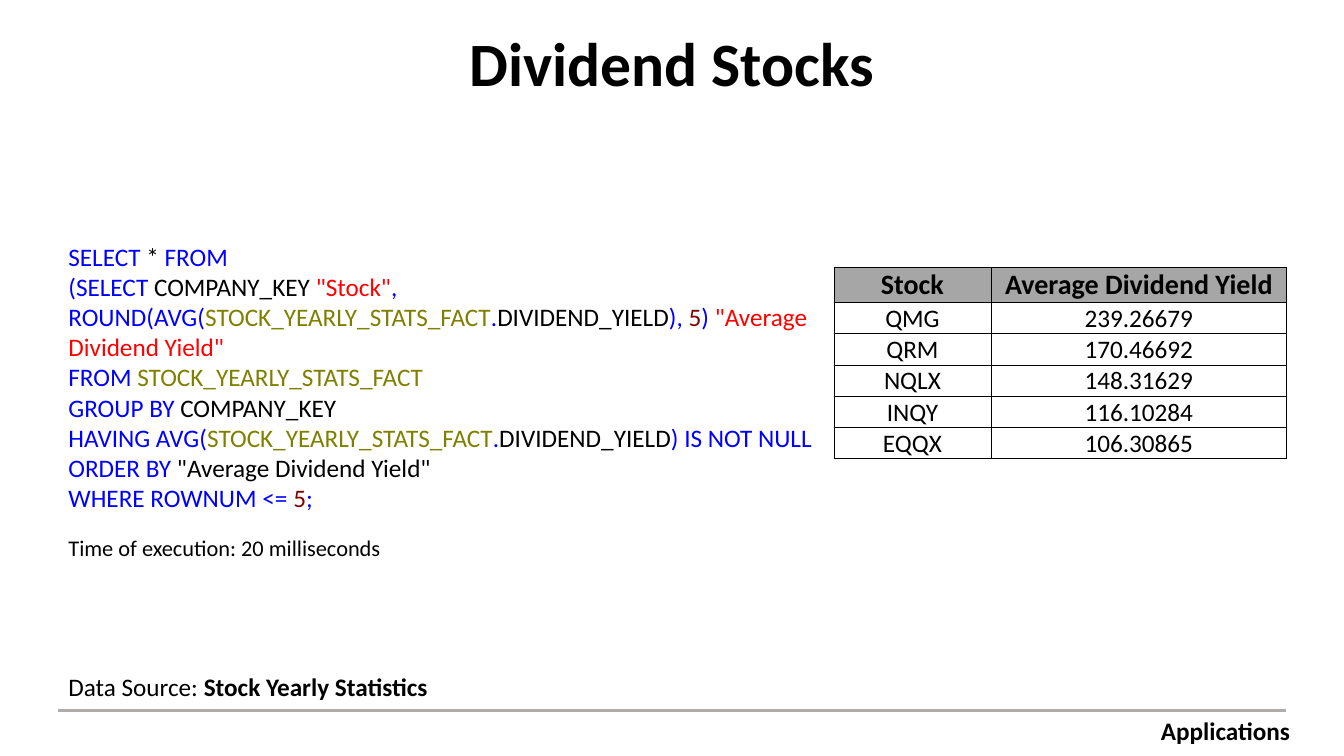
from dataclasses import dataclass

from lxml import etree
from pptx import Presentation
from pptx import util as u
from pptx.dml.color import RGBColor
from pptx.enum import shapes, text
from pptx.oxml import ns

BLACK = RGBColor(0x00, 0x00, 0x00)
BLUE = RGBColor(0x00, 0x00, 0xFF)
RED = RGBColor(0xFF, 0x00, 0x00)
OLIVE = RGBColor(0x80, 0x80, 0x00)
MAROON = RGBColor(0x80, 0x00, 0x00)
RULE_GRAY = RGBColor(0xAF, 0xAB, 0xAB)
HEADER_GRAY = RGBColor(0xA6, 0xA6, 0xA6)

FONT = "Calibri"
LEFT = 0.58
RULE_RIGHT = 12.75
RULE_TOP = 7.05


@dataclass
class Run:
    text: str
    color: RGBColor = BLACK
    bold: bool = False


@dataclass
class TextBlock:
    left: float
    top: float
    width: float
    height: float
    size: int
    lines: list[list[Run]]
    align: text.PP_ALIGN = text.PP_ALIGN.LEFT
    anchor: text.MSO_ANCHOR = text.MSO_ANCHOR.TOP
    spacing: float = 1.0


# Pieces of the query that occur more than once
FACT_TABLE = Run("STOCK_YEARLY_STATS_FACT", OLIVE)
YIELD_COLUMN = [FACT_TABLE, Run(".", BLUE), Run("DIVIDEND_YIELD")]
LIMIT = Run("5", MAROON)

QUERY = [
    [Run("SELECT", BLUE), Run(" * "), Run("FROM", BLUE)],
    [Run("(SELECT", BLUE), Run(" COMPANY_KEY "), Run('"Stock"', RED),
     Run(", ROUND(AVG(", BLUE), *YIELD_COLUMN, Run("), ", BLUE), LIMIT,
     Run(") ", BLUE), Run('"Average Dividend Yield"', RED)],
    [Run("FROM ", BLUE), FACT_TABLE],
    [Run("GROUP BY", BLUE), Run(" COMPANY_KEY")],
    [Run("HAVING AVG(", BLUE), *YIELD_COLUMN, Run(") IS NOT NULL", BLUE)],
    [Run("ORDER BY", BLUE), Run(' "Average Dividend Yield"')],
    [Run("WHERE ROWNUM <= ", BLUE), LIMIT, Run(";", BLUE)],
]

TEXT_BLOCKS = [
    TextBlock(LEFT, 0.22, 12.17, 0.88, 44, [[Run("Dividend Stocks", bold=True)]],
              text.PP_ALIGN.CENTER, text.MSO_ANCHOR.MIDDLE, 0.9),
    TextBlock(LEFT, 2.34, 7.58, 2.83, 18, QUERY),
    TextBlock(LEFT, 5.25, 3.52, 0.37, 16,
              [[Run("Time of execution: 20 milliseconds")]]),
    TextBlock(LEFT, 6.61, 11, 0.4, 18,
              [[Run("Data Source: "), Run("Stock Yearly Statistics", bold=True)]]),
    TextBlock(11.21, RULE_TOP, 1.89, 0.4, 18,
              [[Run("Applications", bold=True)]], text.PP_ALIGN.CENTER),
]

YIELDS = [
    ("Stock", "Average Dividend Yield"),
    ("QMG", "239.26679"),
    ("QRM", "170.46692"),
    ("NQLX", "148.31629"),
    ("INQY", "116.10284"),
    ("EQQX", "106.30865"),
]
COLUMN_WIDTHS = (1.56, 2.93)
HEADER_HEIGHT, ROW_HEIGHT = 0.35, 0.31
CELL_FORMAT = {
    "margin_left": u.Inches(0.01),
    "margin_right": u.Inches(0.01),
    "margin_top": u.Inches(0.01),
    "margin_bottom": 0,
    "vertical_anchor": text.MSO_ANCHOR.MIDDLE,
}


def set_attributes(target, values: dict) -> None:
    for name, value in values.items():
        setattr(target, name, value)


def add_run(paragraph, content: Run, size: int) -> None:
    run = paragraph.add_run()
    run.text = content.text
    set_attributes(run.font, {"name": FONT, "size": u.Pt(size), "bold": content.bold})
    run.font.color.rgb = content.color


def add_text_block(slide, block: TextBlock) -> None:
    shape = slide.shapes.add_textbox(u.Inches(block.left), u.Inches(block.top),
                                     u.Inches(block.width), u.Inches(block.height))
    frame = shape.text_frame
    set_attributes(frame, {"word_wrap": True, "vertical_anchor": block.anchor})
    for index, line in enumerate(block.lines):
        paragraph = frame.add_paragraph() if index else frame.paragraphs[0]
        set_attributes(paragraph, {"alignment": block.align,
                                   "line_spacing": block.spacing})
        for content in line:
            add_run(paragraph, content, block.size)


def add_rule(slide) -> None:
    line = slide.shapes.add_connector(
        shapes.MSO_CONNECTOR.STRAIGHT, u.Inches(LEFT), u.Inches(RULE_TOP),
        u.Inches(RULE_RIGHT), u.Inches(RULE_TOP))
    line.line.color.rgb = RULE_GRAY
    line.line.width = u.Pt(2.25)
    etree.SubElement(line.element.spPr, ns.qn("a:effectLst"))


def add_borders(cell) -> None:
    properties = cell._tc.get_or_add_tcPr()
    for side in ("a:lnL", "a:lnR", "a:lnT", "a:lnB"):
        border = etree.SubElement(properties, ns.qn(side), w=str(u.Pt(0.5)))
        fill = etree.SubElement(border, ns.qn("a:solidFill"))
        etree.SubElement(fill, ns.qn("a:srgbClr"), val=str(BLACK))


def add_yield_table(slide) -> None:
    height = HEADER_HEIGHT + ROW_HEIGHT * (len(YIELDS) - 1)
    table = slide.shapes.add_table(
        len(YIELDS), len(COLUMN_WIDTHS), u.Inches(8.27), u.Inches(2.65),
        u.Inches(sum(COLUMN_WIDTHS)), u.Inches(height)).table
    table.horz_banding = False
    for column, width in zip(table.columns, COLUMN_WIDTHS):
        column.width = u.Inches(width)
    for index, values in enumerate(YIELDS):
        header = index == 0
        table.rows[index].height = u.Inches(HEADER_HEIGHT if header else ROW_HEIGHT)
        for cell, value in zip(table.rows[index].cells, values):
            set_attributes(cell, CELL_FORMAT)
            add_borders(cell)
            if header:
                cell.fill.solid()
                cell.fill.fore_color.rgb = HEADER_GRAY
            else:
                cell.fill.background()
            paragraph = cell.text_frame.paragraphs[0]
            paragraph.alignment = text.PP_ALIGN.CENTER
            add_run(paragraph, Run(value, bold=header), 20 if header else 18)


def main() -> None:
    presentation = Presentation()
    set_attributes(presentation, {"slide_width": u.Inches(13.33),
                                  "slide_height": u.Inches(7.5)})
    slide = presentation.slides.add_slide(presentation.slide_layouts[6])

    # Title, query and captions
    for block in TEXT_BLOCKS:
        add_text_block(slide, block)

    # Query result and footer rule
    add_yield_table(slide)
    add_rule(slide)

    presentation.save("out.pptx")


if __name__ == "__main__":
    main()
